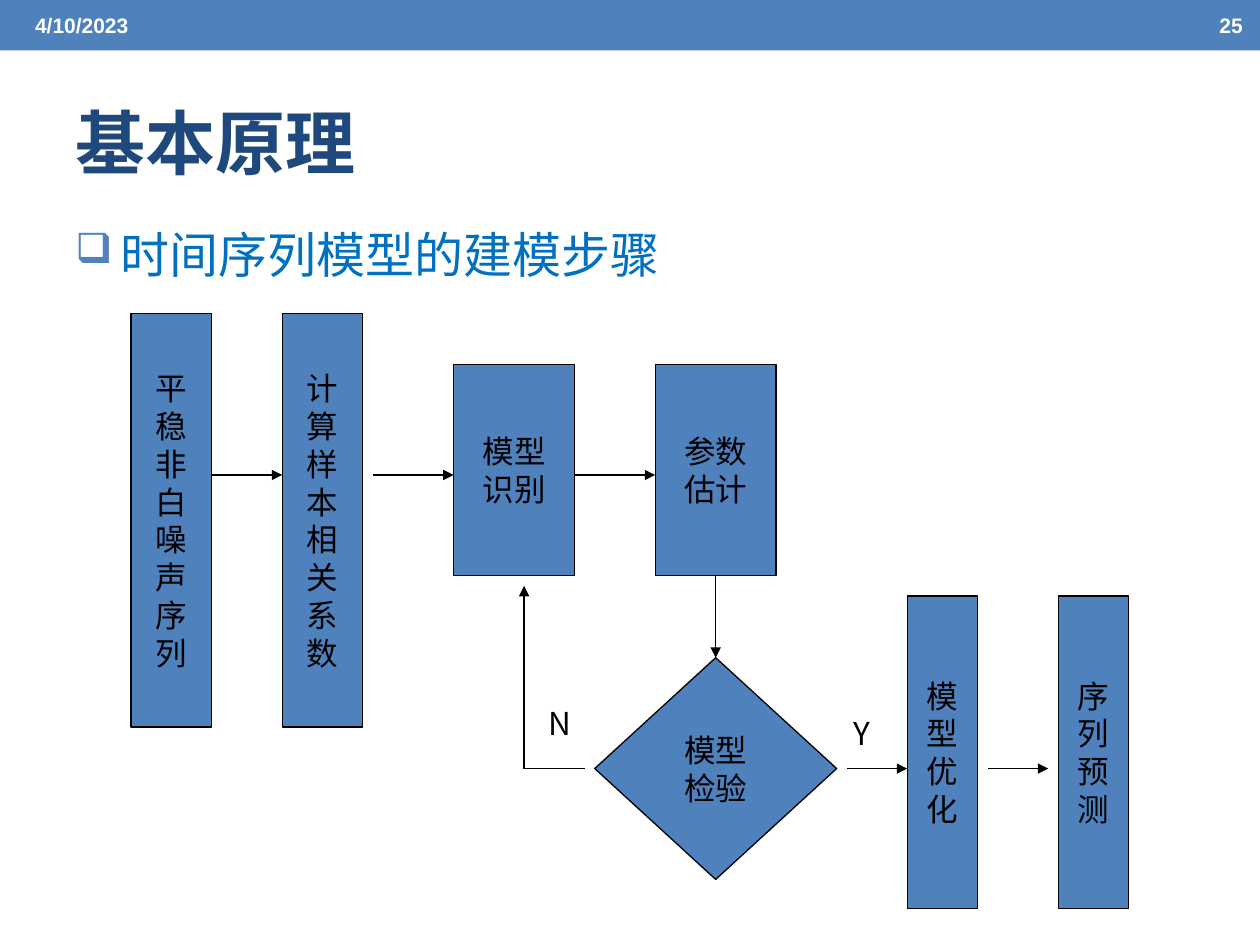
from lxml.etree import SubElement
from pptx import Presentation
from pptx.dml.color import RGBColor
from pptx.enum.shapes import MSO_CONNECTOR, MSO_SHAPE
from pptx.enum.text import MSO_ANCHOR, PP_ALIGN
from pptx.oxml.ns import qn
from pptx.util import Inches, Pt

COLORS = {"blue": "4F81BD", "navy": "1F497D", "bright": "0070C0",
          "black": "000000", "white": "FFFFFF"}
CJK, LATIN = "Noto Sans CJK SC", "Arial"

# Content: text, left, top, width, height, size, font, colour, bold, anchor, align
MIDDLE, TOP = MSO_ANCHOR.MIDDLE, MSO_ANCHOR.TOP
LEFT, CENTER = PP_ALIGN.LEFT, PP_ALIGN.CENTER
TITLE = ("基本原理", 0.5, 0.58, 9, 1.08, 40, CJK, "navy", True, MIDDLE, LEFT)
HEADING = ("时间序列模型的建模步骤", 0.5, 1.73, 9.22, 0.7, 28, CJK, "bright", False, TOP, LEFT)
LABELS = [
    ("4/10/2023", 0.18, 0.02, 3.17, 0.36, 12, LATIN, "white", True, MIDDLE, LEFT),
    ("25", 9.58, 0.02, 0.42, 0.36, 12, LATIN, "white", True, MIDDLE, LEFT),
    ("Y", 6.64, 5.62, 0.4, 0.39, 18, CJK, "black", False, TOP, CENTER),
    ("N", 4.24, 5.54, 0.4, 0.39, 18, CJK, "black", False, TOP, CENTER),
]

# Flow steps: lines of text, shape, left, top, width, height
RECT, DIAMOND = MSO_SHAPE.RECTANGLE, MSO_SHAPE.DIAMOND
STEPS = [
    (list("平稳非白噪声序列"), RECT, 1.04, 2.49, 0.64, 3.28),
    (list("计算样本相关系数"), RECT, 2.24, 2.49, 0.64, 3.28),
    (["模型", "识别"], RECT, 3.6, 2.89, 0.96, 1.68),
    (["参数", "估计"], RECT, 5.2, 2.89, 0.96, 1.68),
    (["模型", "检验"], DIAMOND, 4.72, 5.22, 1.92, 1.76),
    (list("模型优化"), RECT, 7.2, 4.73, 0.56, 2.48),
    (list("序列预测"), RECT, 8.4, 4.73, 0.56, 2.48),
]

# Flow lines: start x, start y, end x, end y, arrowhead
UPPER, LOWER = 3.77, 6.1
FLOWS = [
    (1.68, UPPER, 2.24, UPPER, True),
    (2.96, UPPER, 3.6, UPPER, True),
    (4.56, UPPER, 5.2, UPPER, True),
    (5.68, 4.57, 5.68, 5.22, True),
    (6.72, LOWER, 7.2, LOWER, True),
    (7.84, LOWER, 8.32, LOWER, True),
    (4.16, LOWER, 4.64, LOWER, False),
    (4.16, LOWER, 4.16, 4.65, True),
]


def color(name):
    return RGBColor.from_string(COLORS[name])


def add_run(paragraph, text, size, font, ink, bold=False):
    run = paragraph.add_run()
    run.text = text
    run.font.size, run.font.bold, run.font.name = Pt(size), bold, font
    run.font.color.rgb = color(ink)
    SubElement(run.font._element, qn("a:ea"), typeface=font)


def add_label(slide, text, left, top, width, height, size, font, ink, bold, anchor, align):
    label = slide.shapes.add_textbox(*map(Inches, (left, top, width, height)))
    frame = label.text_frame
    frame.word_wrap, frame.vertical_anchor = True, anchor
    paragraph = frame.paragraphs[0]
    paragraph.alignment = align
    add_run(paragraph, text, size, font, ink, bold)
    return paragraph


def add_bullet(paragraph, mark, indent):
    props = paragraph._p.get_or_add_pPr()
    props.set("marL", str(Inches(indent)))
    props.set("indent", str(-Inches(indent)))
    SubElement(SubElement(props, qn("a:buClr")), qn("a:srgbClr"), val=COLORS["blue"])
    SubElement(props, qn("a:buSzPct"), val="85000")
    SubElement(props, qn("a:buChar"), char=mark)


def add_block(slide, kind, left, top, width, height):
    block = slide.shapes.add_shape(kind, *map(Inches, (left, top, width, height)))
    block.shadow.inherit = False
    block.fill.solid()
    block.fill.fore_color.rgb = color("blue")
    return block


def add_step(slide, lines, kind, *place):
    step = add_block(slide, kind, *place)
    step.line.color.rgb, step.line.width = color("black"), Pt(0.75)
    frame = step.text_frame
    frame.word_wrap, frame.vertical_anchor = False, MIDDLE
    for index, line in enumerate(lines):
        paragraph = frame.add_paragraph() if index else frame.paragraphs[0]
        paragraph.alignment, paragraph.line_spacing = CENTER, Pt(21.6)
        add_run(paragraph, line, 18, CJK, "black")


def add_flow(slide, x1, y1, x2, y2, arrow):
    flow = slide.shapes.add_connector(MSO_CONNECTOR.STRAIGHT, *map(Inches, (x1, y1, x2, y2)))
    flow.line.color.rgb, flow.line.width = color("black"), Pt(0.75)
    if arrow:
        SubElement(flow.line._get_or_add_ln(), qn("a:tailEnd"), type="triangle")
    SubElement(flow._element.spPr, qn("a:effectLst"))


def main():
    deck = Presentation()
    deck.slide_width, deck.slide_height = Inches(10), Inches(7.5)
    slide = deck.slides.add_slide(deck.slide_layouts[6])

    # Top band, title and heading
    band = add_block(slide, RECT, 0, 0, 10, 0.4)
    band.line.fill.background()
    add_label(slide, *TITLE)
    add_bullet(add_label(slide, *HEADING), "❑", 0.36)

    # Flowchart
    for step in STEPS:
        add_step(slide, *step)
    for flow in FLOWS:
        add_flow(slide, *flow)

    # Date, page number and branch labels
    for label in LABELS:
        add_label(slide, *label)

    deck.save("out.pptx")


if __name__ == "__main__":
    main()
